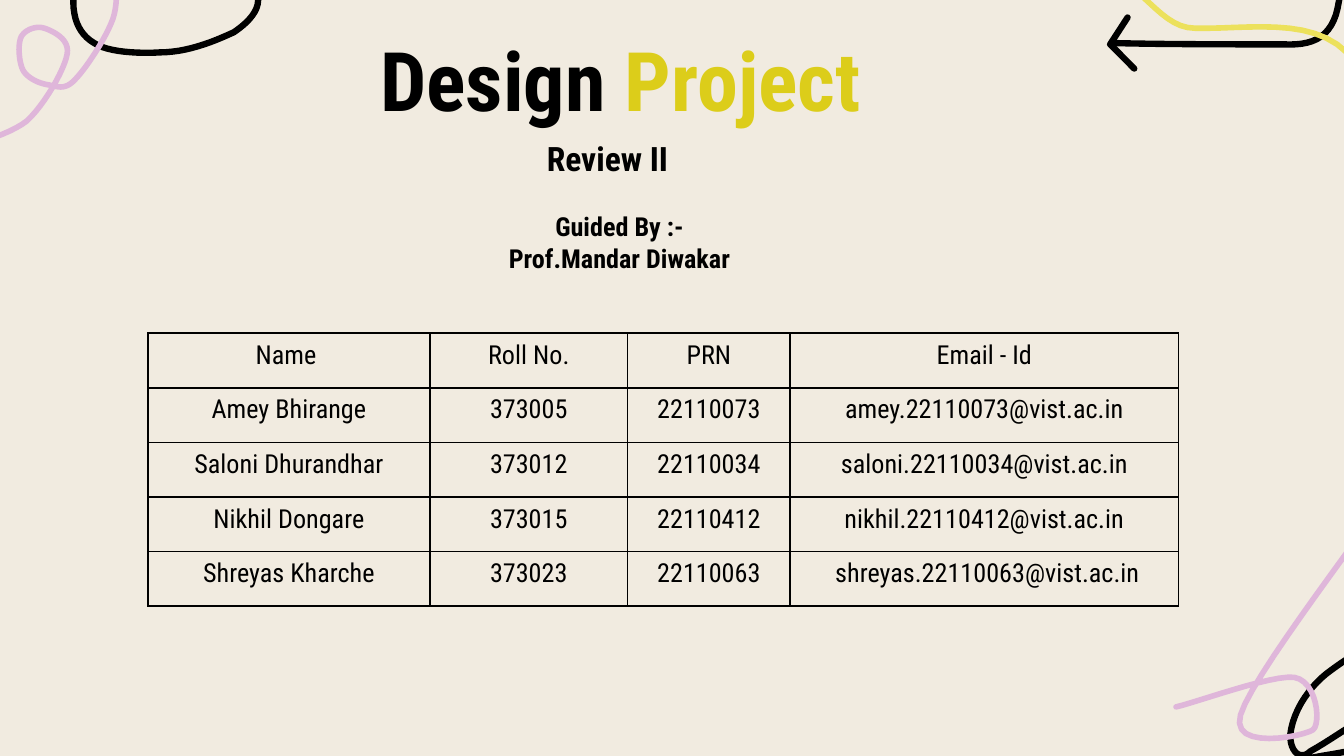
from dataclasses import dataclass

from lxml import etree
from pptx import Presentation
from pptx.dml.color import RGBColor
from pptx.enum.text import MSO_AUTO_SIZE, PP_ALIGN
from pptx.oxml.ns import qn
from pptx.util import Inches, Pt

LEFT, CENTER = PP_ALIGN.LEFT, PP_ALIGN.CENTER
GROW = MSO_AUTO_SIZE.SHAPE_TO_FIT_TEXT


@dataclass(frozen=True)
class Theme:
    font: str = "Roboto Condensed"
    paper: str = "F1EBE0"
    ink: str = "000000"
    gold: str = "DCCD1A"
    yellow: str = "ECE15C"
    lilac: str = "DFB6DA"
    title: int = 44
    subtitle: int = 18
    body: int = 14
    stroke: float = 3
    ink_stroke: float = 3.4
    border: float = 1


THEME = Theme()

# Each doodle is a chain of cubic curves: a start, then two handles and an end per curve
INK_LOOP = [
    (0.6, -1.32), (0.58, -0.9), (0.56, -0.5), (0.55, -0.07),
    (0.53, 0.12), (0.58, 0.25), (0.7, 0.32), (0.8, 0.39), (1.04, 0.4), (1.19, 0.39),
    (1.38, 0.39), (1.57, 0.32), (1.74, 0.24), (1.83, 0.18), (1.96, 0.07), (1.91, -0.06),
    (1.89, -0.14), (1.62, -0.23), (1.54, -0.26), (1.4, -0.31), (1.1, -0.3), (1.05, -0.18),
    (1.05, -0.05), (1.2, -0.07), (1.35, -0.08), (1.8, -0.1), (2.4, -0.22), (2.91, -0.35)]
INK_ARROW = [
    (8.27, 0.32), (8.7, 0.33), (9.1, 0.33), (9.55, 0.33),
    (9.75, 0.34), (9.88, 0.29), (9.94, 0.11), (10, -0.1), (9.98, -0.35), (9.93, -0.55),
    (9.87, -0.8), (9.73, -1.04), (9.55, -1.04), (9.38, -1.02), (9.29, -0.6), (9.29, -0.45),
    (9.29, -0.2), (9.42, -0.1), (9.48, -0.23), (9.55, -0.5), (9.42, -1.4), (9.19, -2.01)]
ARROW_HEAD = [(8.39, 0.13), (8.26, 0.33), (8.44, 0.51)]
INK_KNOT = [
    (8.95, 6.31), (9.19, 6.08), (9.44, 5.86), (9.68, 5.67),
    (9.75, 5.61), (10.1, 5.62), (10.3, 5.49), (10.4, 5.42), (10.48, 5.24), (10.35, 5.26),
    (10.2, 5.28), (9.95, 5.48), (9.75, 5.59), (9.68, 5.66), (9.6, 5.6), (9.6, 5.47),
    (9.62, 5.27), (9.77, 5.08), (9.9, 4.99), (10.06, 4.87), (10.3, 4.72), (10.46, 4.72),
    (10.62, 4.72), (10.72, 4.82), (10.78, 4.92), (10.96, 5.27), (11.16, 5.67), (11.33, 6.05)]
LILAC_RIBBON = [
    (8.75, 5.26), (8.89, 5.23), (9.46, 5.02), (9.63, 5.04),
    (9.8, 5.07), (9.83, 5.38), (9.77, 5.43), (9.7, 5.48), (9.15, 5.59), (9.23, 5.32),
    (9.31, 5.05), (10.02, 4.13), (10.22, 3.83), (10.42, 3.53), (10.41, 3.56), (10.44, 3.5)]
LILAC_LOOP = [
    (-0.31, 1.11), (-0.23, 1.08), (0.06, 1.01), (0.2, 0.9),
    (0.33, 0.78), (0.48, 0.52), (0.5, 0.4), (0.52, 0.29), (0.39, 0.23), (0.33, 0.21),
    (0.27, 0.19), (0.19, 0.22), (0.16, 0.27), (0.13, 0.32), (0.14, 0.46), (0.17, 0.52),
    (0.2, 0.58), (0.29, 0.62), (0.35, 0.63), (0.42, 0.64), (0.48, 0.68), (0.56, 0.59),
    (0.64, 0.51), (0.79, 0.28), (0.84, 0.14), (0.89, -0.01), (0.85, -0.16), (0.86, -0.26),
    (0.87, -0.36), (0.88, -0.43), (0.88, -0.47)]
YELLOW_WAVE = [
    (10.71, 0.86), (10.54, 0.85), (10.33, 0.86), (10.22, 0.73),
    (10.14, 0.63), (10.12, 0.48), (10.02, 0.39), (9.75, 0.12), (9.27, 0.22), (8.89, 0.21),
    (8.66, 0.21), (8.53, -0.06), (8.32, -0.15)]

STUDENT_ROWS = [
    ("Name ", "Roll No.", "PRN", "Email - Id"),
    ("Amey Bhirange", "373005", "22110073", "amey.22110073@vist.ac.in"),
    ("Saloni Dhurandhar", "373012", "22110034", "saloni.22110034@vist.ac.in"),
    ("Nikhil Dongare", "373015", "22110412", "nikhil.22110412@vist.ac.in"),
    ("Shreyas Kharche", "373023", "22110063", " shreyas.22110063@vist.ac.in"),
]
COLUMN_SHARES = [2.1, 1.47, 1.21, 2.89]


def write(frame, *paragraphs, size=THEME.body, bold=False, align=LEFT):
    """Fill a text frame; each paragraph is a list of (text, colour) runs."""
    for index, runs in enumerate(paragraphs):
        paragraph = frame.paragraphs[0] if index == 0 else frame.add_paragraph()
        paragraph.alignment = align
        for text, color in runs:
            run = paragraph.add_run()
            run.text = text
            run.font.name = THEME.font
            run.font.size = Pt(size)
            run.font.bold = bold
            run.font.color.rgb = RGBColor.from_string(color)


def text_box(slide, left, top, width, height, *paragraphs, **text_format):
    box = slide.shapes.add_textbox(Inches(left), Inches(top), Inches(width), Inches(height))
    box.text_frame.word_wrap = True
    box.text_frame.auto_size = GROW
    write(box.text_frame, *paragraphs, **text_format)


def trace(curves, steps=12):
    """Sample a chain of cubic curves as points."""
    points = [curves[0]]
    for start in range(0, len(curves) - 1, 3):
        a, b, c, d = curves[start:start + 4]
        for step in range(1, steps + 1):
            t = step / steps
            u = 1 - t
            points.append(tuple(
                u**3 * p + 3 * u * u * t * q + 3 * u * t * t * r + t**3 * s
                for p, q, r, s in zip(a, b, c, d)))
    return points


def doodle(slide, left, top, color, weight, *strokes):
    """Draw one or more open strokes as a single round-ended outline."""
    placed = [[(Inches(left + x), Inches(top + y)) for x, y in stroke] for stroke in strokes]
    builder = slide.shapes.build_freeform(*placed[0][0])
    builder.add_line_segments(placed[0][1:], close=False)
    for stroke in placed[1:]:
        builder.move_to(*stroke[0])
        builder.add_line_segments(stroke[1:], close=False)
    shape = builder.convert_to_shape()
    shape.shadow.inherit = False
    shape.fill.background()
    shape.line.color.rgb = RGBColor.from_string(color)
    shape.line.width = Pt(weight)
    line = shape.line._get_or_add_ln()
    line.set("cap", "rnd")
    etree.SubElement(line, qn("a:round"))


def corner_doodles(slide, left, top):
    for strokes in ([trace(INK_ARROW), ARROW_HEAD], [trace(INK_KNOT)], [trace(INK_LOOP)]):
        doodle(slide, left, top, THEME.ink, THEME.ink_stroke, *strokes)
    for curves, color in ((LILAC_RIBBON, THEME.lilac), (LILAC_LOOP, THEME.lilac),
                          (YELLOW_WAVE, THEME.yellow)):
        doodle(slide, left, top, color, THEME.stroke, trace(curves))


def heading(slide, left, top, width):
    text_box(slide, left, top, width, 0.84,
             [("Design ", THEME.ink), ("Project", THEME.gold)], size=THEME.title, bold=True)
    text_box(slide, left + 1.24, top + 0.81, 1.28, 0.4,
             [("Review II", THEME.ink)], size=THEME.subtitle, bold=True)
    text_box(slide, left + 0.41, top + 1.35, 2.94, 0.57,
             [("Guided By :-", THEME.ink)], [("Prof.Mandar Diwakar", THEME.ink)],
             bold=True, align=CENTER)


def outline_cell(cell):
    properties = cell._tc.get_or_add_tcPr()
    for side in ("lnL", "lnR", "lnT", "lnB"):
        line = etree.SubElement(properties, qn(f"a:{side}"), w=str(Pt(THEME.border)))
        fill = etree.SubElement(line, qn("a:solidFill"))
        etree.SubElement(fill, qn("a:srgbClr"), val=THEME.ink)


def student_table(slide, left, top, width, height):
    table = slide.shapes.add_table(len(STUDENT_ROWS), len(COLUMN_SHARES), Inches(left),
                                   Inches(top), Inches(width), Inches(height)).table
    table.first_row = table.horz_banding = False
    for column, share in zip(table.columns, COLUMN_SHARES):
        column.width = Inches(width * share / sum(COLUMN_SHARES))
    for row, values in zip(table.rows, STUDENT_ROWS):
        for cell, value in zip(row.cells, values):
            outline_cell(cell)
            cell.fill.background()
            write(cell.text_frame, [(value, THEME.ink)], align=CENTER)


def main():
    deck = Presentation()
    deck.slide_width = Inches(10)
    deck.slide_height = deck.slide_width * 9 // 16
    slide = deck.slides.add_slide(deck.slide_layouts[6])
    slide.background.fill.solid()
    slide.background.fill.fore_color.rgb = RGBColor.from_string(THEME.paper)
    corner_doodles(slide, 0, 0)
    student_table(slide, 1.1, 2.48, 7.67, 2.03)
    heading(slide, 2.73, 0.17, 4.55)
    deck.save("out.pptx")


if __name__ == "__main__":
    main()
